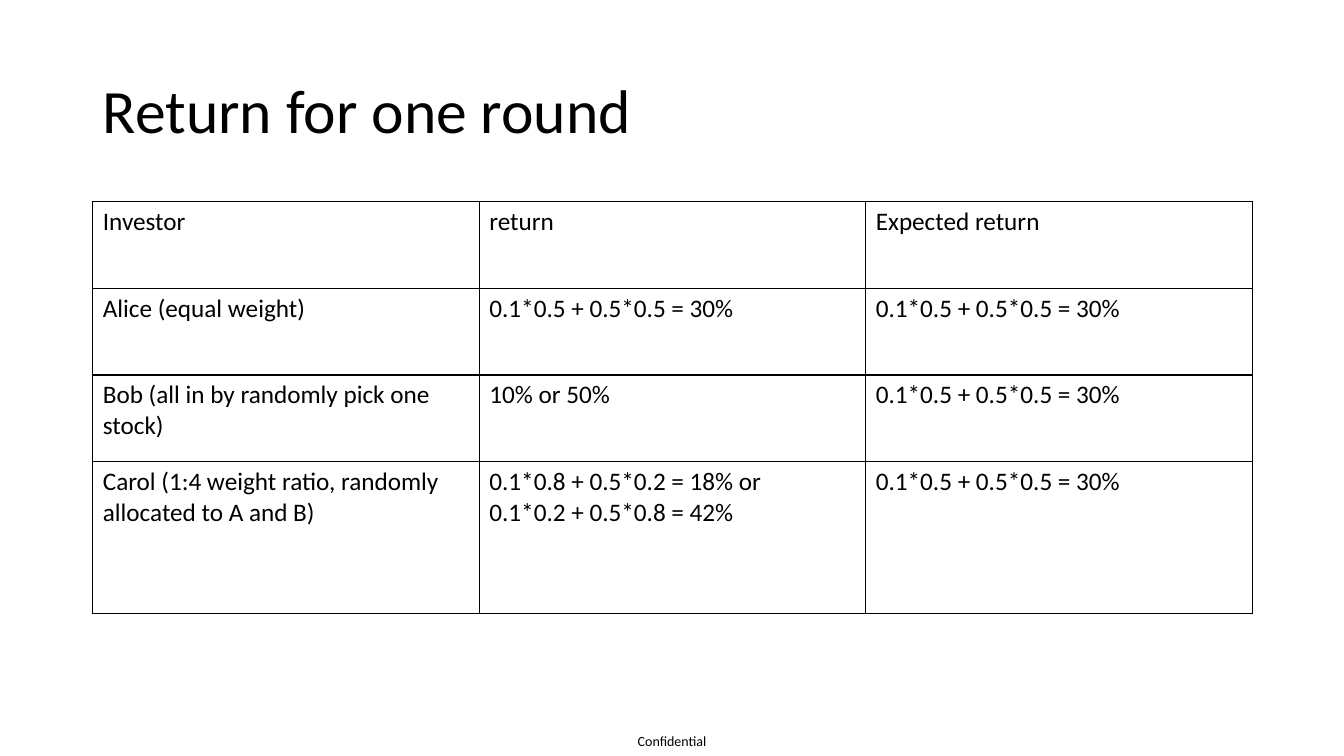
import pptx
import pptx.dml.color
import pptx.enum.text
import pptx.oxml
import pptx.oxml.ns
import pptx.util
from pptx.util import Inches

ANCHOR = pptx.enum.text.MSO_ANCHOR
ALIGN = pptx.enum.text.PP_ALIGN


def rgb(value):
    return pptx.dml.color.RGBColor.from_string(value)


class SlideBuilder:
    font = "Calibri"
    ink = "000000"

    def __init__(self, prs):
        self.slide = prs.slides.add_slide(prs.slide_layouts[5])

    def set_text(self, tf, text, size, align=ALIGN.LEFT, spacing=1.0):
        tf.text = text
        for p in tf.paragraphs:
            p.alignment = align
            p.line_spacing = spacing
            p.font.name = self.font
            p.font.size = pptx.util.Pt(size)
            p.font.bold = False
            p.font.color.rgb = rgb(self.ink)

    def title(self, text, left, top, width, height):
        sp = self.slide.shapes.title
        sp.left, sp.top = Inches(left), Inches(top)
        sp.width, sp.height = Inches(width), Inches(height)
        tf = sp.text_frame
        tf.vertical_anchor = ANCHOR.MIDDLE
        self.set_text(tf, text, 44, spacing=0.9)

    def label(self, text, left, top, width, height):
        sp = self.slide.shapes.add_textbox(
            Inches(left), Inches(top), Inches(width), Inches(height))
        tf = sp.text_frame
        tf.word_wrap = True
        tf.vertical_anchor = ANCHOR.MIDDLE
        tf.margin_left = tf.margin_right = tf.margin_top = tf.margin_bottom = 0
        self.set_text(tf, text, 10, ALIGN.CENTER)

    def border(self, cell):
        tcPr = cell._tc.get_or_add_tcPr()
        for side in "LRTB":
            tcPr.append(pptx.oxml.parse_xml(
                f'<a:ln{side} {pptx.oxml.ns.nsdecls("a")} w="12700">'
                f'<a:solidFill><a:srgbClr val="{self.ink}"/></a:solidFill>'
                f'</a:ln{side}>'))

    def table(self, rows, left, top, width, heights):
        columns = len(rows[0])
        table = self.slide.shapes.add_table(
            len(rows), columns, Inches(left), Inches(top),
            Inches(width), Inches(sum(heights))).table
        table.first_row = table.horz_banding = False
        for column in table.columns:
            column.width = Inches(width / columns)
        for row, height, texts in zip(table.rows, heights, rows):
            row.height = Inches(height)
            for cell, text in zip(row.cells, texts):
                self.border(cell)
                cell.fill.background()
                self.set_text(cell.text_frame, text, 18)


def main():
    prs = pptx.Presentation()
    prs.slide_width, prs.slide_height = Inches(13.33), Inches(7.5)
    s = SlideBuilder(prs)
    s.title("Return for one round", 0.92, 0.4, 11.5, 1.45)
    expected = "0.1*0.5 + 0.5*0.5 = 30%"
    s.table([
        ("Investor", "return", "Expected return"),
        ("Alice (equal weight)", expected, expected),
        ("Bob (all in by randomly pick one stock)", "10% or 50%", expected),
        ("Carol (1:4 weight ratio, randomly allocated to A and B)",
         "0.1*0.8 + 0.5*0.2 = 18% or\n0.1*0.2 + 0.5*0.8 = 42%", expected),
    ], 0.92, 2, 11.5, [0.86, 0.86, 0.86, 1.51])
    s.label("Confidential", 6.17, 7.21, 0.99, 0.29)
    prs.save("out.pptx")


if __name__ == "__main__":
    main()
